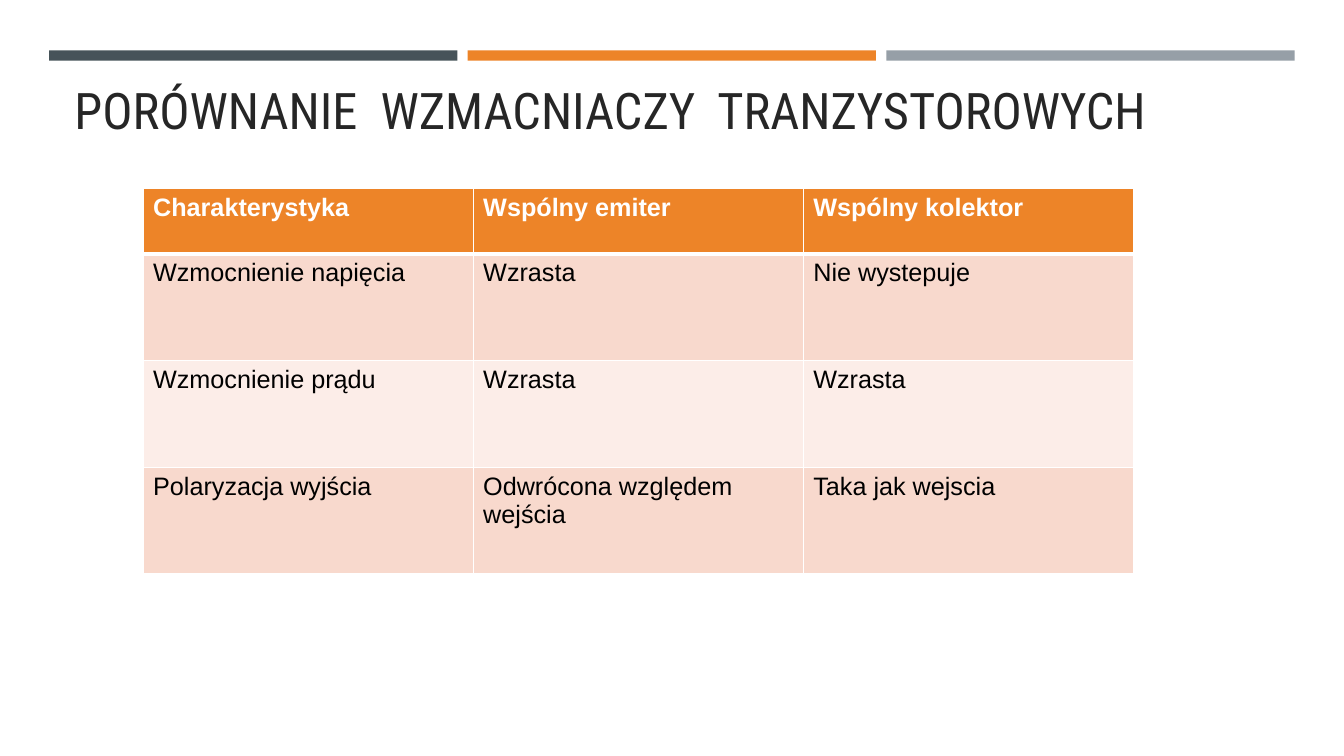
import pptx
import pptx.dml.color
import pptx.enum.shapes
import pptx.enum.text
import pptx.oxml
import pptx.oxml.ns
import pptx.util

Pt = pptx.util.Pt

TITLE = "PORÓWNANIE\u00a0 WZMACNIACZY\u00a0 TRANZYSTOROWYCH"
BAR_COLORS = ["465359", "ED8428", "969FA7"]
ROWS = [
    ("Charakterystyka", "Wspólny emiter", "Wspólny kolektor"),
    ("Wzmocnienie napięcia", "Wzrasta", "Nie wystepuje"),
    ("Wzmocnienie prądu", "Wzrasta", "Wzrasta"),
    ("Polaryzacja wyjścia", "Odwrócona względem wejścia", "Taka jak wejscia"),
]
ROW_FILLS = ["ED8428", "F8D9CD", "FCEDE8", "F8D9CD"]
ROW_HEIGHTS = [46.5, 76.2, 76.2, 76.2]
COLUMN_WIDTH = 235.8
BAR_LEFT, BAR_TOP, BAR_WIDTH, BAR_HEIGHT, BAR_STEP = 35.1, 36, 291.6, 7.4, 299


def color(value):
    return pptx.dml.color.RGBColor.from_string(value)


def paint(fill, value):
    fill.solid()
    fill.fore_color.rgb = color(value)


def style(paragraph, font_name, size, value, bold=False):
    font = paragraph.font
    font.name = font_name
    font.size = Pt(size)
    font.bold = bold
    font.color.rgb = color(value)


def add_borders(cell, widths):
    properties = cell._tc.get_or_add_tcPr()
    for side, width in widths.items():
        properties.append(pptx.oxml.parse_xml(
            f'<a:ln{side} {pptx.oxml.ns.nsdecls("a")} w="{Pt(width)}"><a:solidFill>'
            f'<a:srgbClr val="FFFFFF"/></a:solidFill></a:ln{side}>'))


presentation = pptx.Presentation()
presentation.slide_width, presentation.slide_height = Pt(960), Pt(540)
slide = presentation.slides.add_slide(presentation.slide_layouts[6])

for index, bar_color in enumerate(BAR_COLORS):
    bar = slide.shapes.add_shape(
        pptx.enum.shapes.MSO_SHAPE.RECTANGLE,
        Pt(BAR_LEFT + index * BAR_STEP), Pt(BAR_TOP), Pt(BAR_WIDTH), Pt(BAR_HEIGHT))
    bar.shadow.inherit = False
    paint(bar.fill, bar_color)
    bar.line.fill.background()

title = slide.shapes.add_textbox(Pt(46.1), Pt(57.6), Pt(868.3), Pt(77.8))
title.text_frame.word_wrap = True
title.text_frame.vertical_anchor = pptx.enum.text.MSO_ANCHOR.TOP
paragraph = title.text_frame.paragraphs[0]
paragraph.text = TITLE
paragraph.line_spacing = 0.9
style(paragraph, "Roboto Condensed", 36, "262626")

table = slide.shapes.add_table(
    len(ROWS), len(ROWS[0]), Pt(102.2), Pt(134.8),
    Pt(COLUMN_WIDTH * len(ROWS[0])), Pt(sum(ROW_HEIGHTS))).table
for column in table.columns:
    column.width = Pt(COLUMN_WIDTH)
for row_index, texts in enumerate(ROWS):
    table.rows[row_index].height = Pt(ROW_HEIGHTS[row_index])
    header = row_index == 0
    borders = {"L": 1, "R": 1, "T": 3 if row_index == 1 else 1, "B": 3 if header else 1}
    for column_index, text in enumerate(texts):
        cell = table.cell(row_index, column_index)
        add_borders(cell, borders)
        paint(cell.fill, ROW_FILLS[row_index])
        cell.text = text
        style(cell.text_frame.paragraphs[0], "Arial", 18,
              "FFFFFF" if header else "000000", header)

presentation.save("out.pptx")
